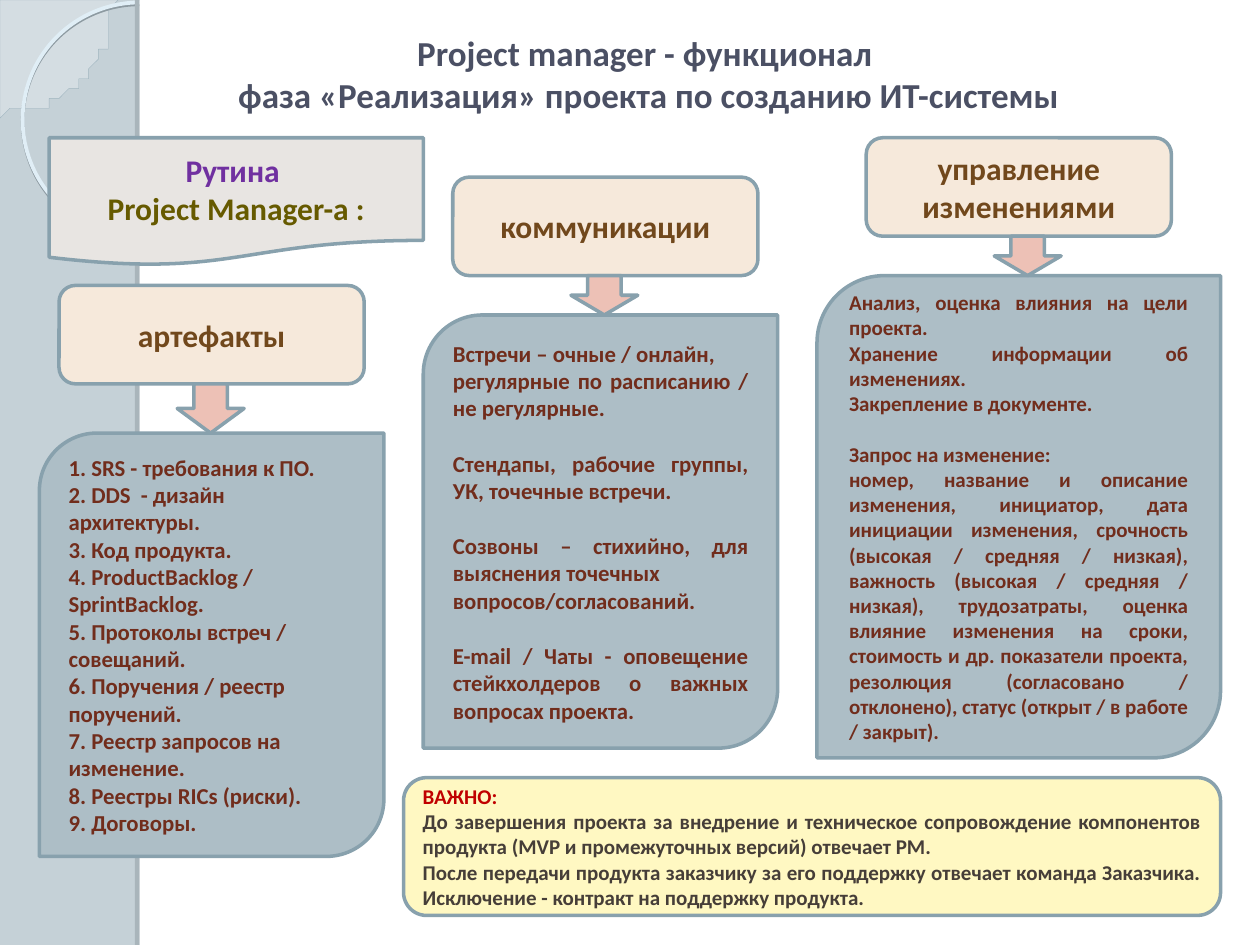
from math import cos, pi, sin

from lxml.etree import SubElement
from pptx import Presentation
from pptx.dml.color import RGBColor
from pptx.enum.shapes import MSO_SHAPE as Shape
from pptx.enum.text import MSO_ANCHOR as Anchor, PP_ALIGN as Align
from pptx.oxml.ns import qn
from pptx.util import Inches, Pt

COLUMNS, ROWS = 128, 96
LINE_HEIGHT = 1.22


def color(value):
    return RGBColor.from_string(value)


class FunctionSlide:
    font = "Calibri"
    edge = "88A1AD"
    panel_fill, panel_ink = "ADBEC6", "712D1C"
    header_fill, header_ink = "F6E9DB", "71481C"

    def __init__(self, deck):
        self.slide = deck.slides.add_slide(deck.slide_layouts[6])
        self.cell = deck.slide_width / COLUMNS
        self.row = deck.slide_height / ROWS

    def background(self, fill):
        self.slide.background.fill.solid()
        self.slide.background.fill.fore_color.rgb = color(fill)

    def box(self, left, top, width, height):
        return (round(left * self.cell), round(top * self.row),
                round(width * self.cell), round(height * self.row))

    def paint(self, shape, fill, edge, weight):
        shape.shadow.inherit = False
        if fill:
            shape.fill.solid()
            shape.fill.fore_color.rgb = color(fill)
        else:
            shape.fill.background()
        if edge:
            shape.line.color.rgb = color(edge)
            shape.line.width = Pt(weight)
        else:
            shape.line.fill.background()

    def figure(self, kind, area, fill=None, edge=edge, weight=2):
        shape = self.slide.shapes.add_shape(kind, *self.box(*area))
        self.paint(shape, fill, edge, weight)
        return shape

    def corner_fan(self, radius, fill, opacity):
        arc = [(radius * cos(step * pi / 60), radius * sin(step * pi / 60)) for step in range(31)]
        builder = self.slide.shapes.build_freeform(0, 0, scale=self.cell)
        builder.add_line_segments(arc, close=True)
        fan = builder.convert_to_shape()
        self.paint(fan, fill, "A0B5BF", 0.25)
        tint = fan._element.spPr.find(qn("a:solidFill"))[0]
        SubElement(tint, qn("a:alpha"), val=str(opacity * 1000))

    def set_text(self, shape, groups, size, inks, align=Align.CENTER):
        frame = shape.text_frame
        frame.word_wrap = True
        frame.vertical_anchor = Anchor.MIDDLE
        lines = [line for group in groups for line in group]
        openers = [group[0] for group in groups[1:]]
        frame.text = "\n".join(lines)
        for index, paragraph in enumerate(frame.paragraphs):
            paragraph.alignment = align
            if lines[index] in openers:
                paragraph.space_before = Pt(round(size * LINE_HEIGHT, 1))
            for run in paragraph.runs:
                run.font.name = self.font
                run.font.size = Pt(size)
                run.font.bold = True
                run.font.color.rgb = color(inks[min(index, len(inks) - 1)])

    def title(self, area, lines):
        heading = self.slide.shapes.add_textbox(*self.box(*area))
        self.set_text(heading, [lines], 20, ["4B5064"])

    def note(self, kind, area, fill, lines, size, inks, align=Align.CENTER):
        self.set_text(self.figure(kind, area, fill), [lines], size, inks, align)

    def topic(self, name, header, arrow_left, panel, groups, size, align):
        header_left, header_top = header
        header_bottom = header_top + 10
        body = self.figure(Shape.ROUND_2_DIAG_RECTANGLE, panel, self.panel_fill)
        self.set_text(body, groups, size, [self.panel_ink], align)
        self.note(Shape.ROUNDED_RECTANGLE, (header_left, header_top, 31, 10),
                  self.header_fill, [name], 18, [self.header_ink])
        self.figure(Shape.DOWN_ARROW,
                    (arrow_left, header_bottom, 6.8, panel[1] - header_bottom), "EDC1B6")


TOPICS = [
    ("артефакты", (6, 29), 18, (4, 44, 35, 43), [[
        "1. SRS - требования к ПО.",
        "2. DDS  - дизайн архитектуры.",
        "3. Код продукта.",
        "4. ProductBacklog / SprintBacklog.",
        "5. Протоколы встреч / совещаний.",
        "6. Поручения / реестр поручений.",
        "7. Реестр запросов на изменение.",
        "8. Реестры RICs (риски).",
        "9. Договоры.",
    ]], 13, Align.LEFT),
    ("коммуникации", (46, 18), 58, (43, 32, 36, 44), [
        ["Встречи – очные / онлайн, ",
         "регулярные по расписанию / не регулярные."],
        ["Стендапы, рабочие группы, УК, точечные встречи."],
        ["Созвоны – стихийно, для выяснения точечных",
         "вопросов/согласований."],
        ["E-mail / Чаты - оповещение стейкхолдеров о важных вопросах проекта."],
    ], 13, Align.JUSTIFY),
    ("управление изменениями", (88, 14), 101, (83, 28, 41, 49), [
        ["Анализ, оценка влияния на цели проекта.",
         "Хранение информации об изменениях.",
         "Закрепление в документе."],
        ["Запрос на изменение:",
         "номер, название и описание изменения, инициатор, дата инициации изменения, "
         "срочность (высокая / средняя / низкая), важность (высокая / средняя / низкая), "
         "трудозатраты, оценка влияние изменения на сроки, стоимость и др. показатели "
         "проекта, резолюция (согласовано / отклонено), статус (открыт / в работе / закрыт)."],
    ], 12, Align.JUSTIFY),
]


def main():
    deck = Presentation()
    deck.slide_width, deck.slide_height = Inches(10), Inches(7.5)
    page = FunctionSlide(deck)

    page.background("C5D1D7")
    page.corner_fan(11.5, "F4F8FA", 33)
    page.figure(Shape.OVAL, (2.3, 0.45, 23.8, 23.8), edge="8D9AA1")
    page.figure(Shape.OVAL, (2.3, 0.25, 23.8, 23.8), edge="E0EEF6", weight=2.15)
    page.figure(Shape.RECTANGLE, (13.7, 0, 0.5, ROWS), "A9B5BB", None)
    page.figure(Shape.RECTANGLE, (14.2, 0, COLUMNS - 14.2, ROWS), "FFFFFF", None)

    page.title((8, 4, 115, 7), [
        "Project manager - функционал",
        " фаза «Реализация» проекта по созданию ИТ-системы",
    ])
    page.note(Shape.ROUNDED_RECTANGLE, (41, 79, 83, 14), "FFF8C2", [
        "ВАЖНО:",
        "До завершения проекта за внедрение и техническое сопровождение компонентов "
        "продукта (MVP и промежуточных версий) отвечает PM.",
        "После передачи продукта заказчику за его поддержку отвечает команда Заказчика. "
        "Исключение - контракт на поддержку продукта.",
    ], 12, ["C00000", "463E38"], Align.JUSTIFY)
    page.note(Shape.FLOWCHART_DOCUMENT, (5, 14, 38, 13), "E8E5E2",
              ["Рутина ", "Project Manager-а :"], 18, ["7030A0", "665A00"])
    for topic in TOPICS:
        page.topic(*topic)

    deck.save("out.pptx")


if __name__ == "__main__":
    main()
